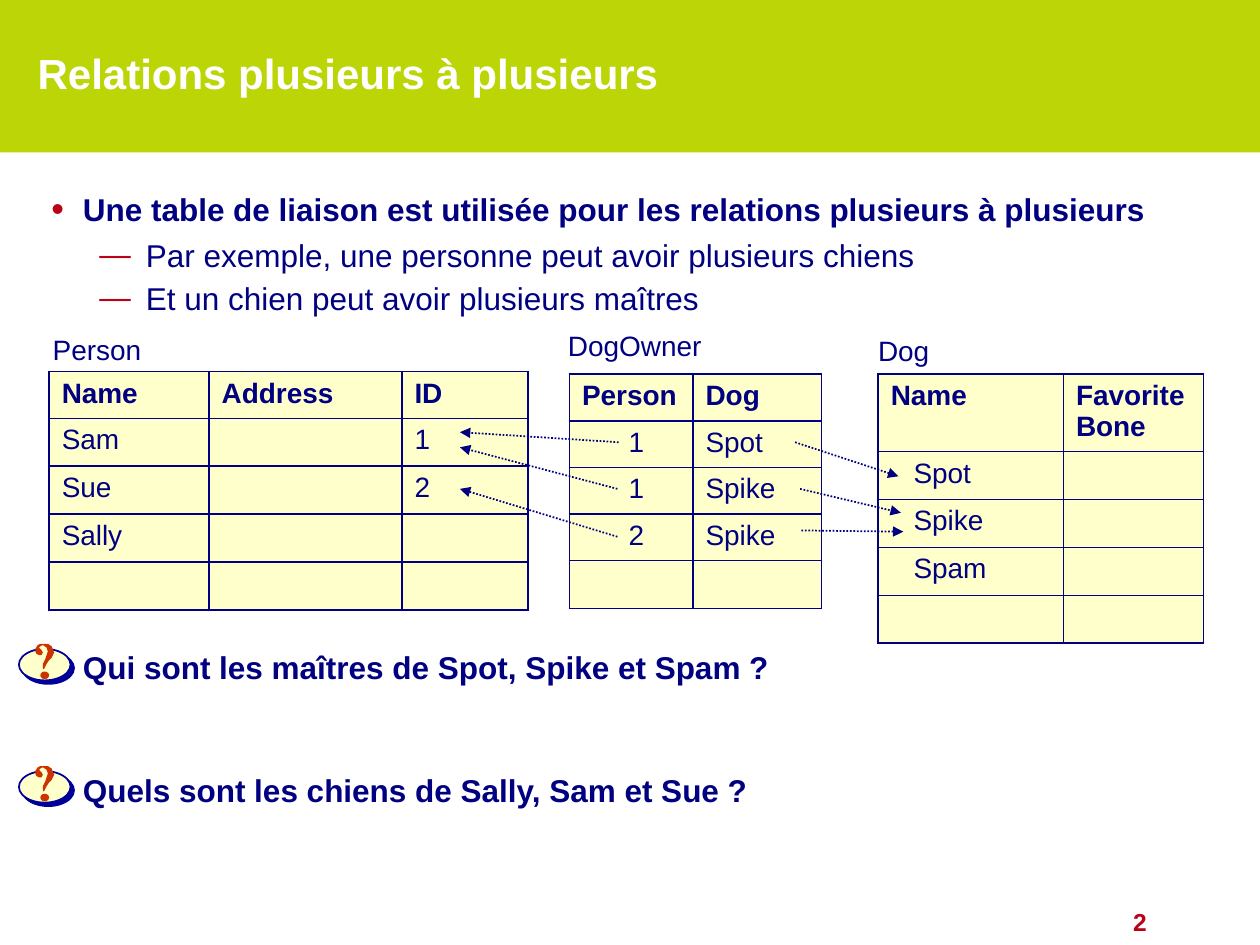
from lxml.etree import SubElement
from pptx import Presentation
from pptx.dml.color import RGBColor
from pptx.enum.dml import MSO_LINE
from pptx.enum.shapes import MSO_CONNECTOR, MSO_SHAPE
from pptx.enum.text import MSO_ANCHOR, PP_ALIGN
from pptx.oxml import parse_xml
from pptx.oxml.ns import nsdecls, qn
from pptx.util import Inches, Pt

COLORS = {"green": "BCD507", "white": "FFFFFF", "navy": "000080", "red": "B90117",
          "cream": "FFFFCC", "blue": "000099", "orange": "CC3300", "black": "000000"}


def write(frame, text, size=16, color="navy", bold=False, align=PP_ALIGN.LEFT,
          bullet=None, bullet_size=100, left=0, hanging=0, after=0, shadow=False):
    """Write one paragraph, reusing the first one while it is empty."""
    paragraph = frame.paragraphs[0] if not frame.text else frame.add_paragraph()
    paragraph.alignment = align
    paragraph.space_after = Pt(after)
    run = paragraph.add_run()
    run.text = text
    run.font.name = "Arial"
    run.font.size = Pt(size)
    run.font.bold = bold
    run.font.color.rgb = RGBColor.from_string(COLORS[color])
    if bullet:
        properties = paragraph._p.get_or_add_pPr()
        properties.set("marL", str(Inches(left)))
        properties.set("indent", str(-Inches(hanging)))
        bullet_color = SubElement(properties, qn("a:buClr"))
        SubElement(bullet_color, qn("a:srgbClr"), val=COLORS["red"])
        SubElement(properties, qn("a:buSzPct"), val=str(bullet_size * 1000))
        SubElement(properties, qn("a:buFont"), typeface="Arial")
        SubElement(properties, qn("a:buChar"), char=bullet)
    if shadow:
        run.font.fill._xPr.find(qn("a:solidFill")).addnext(parse_xml(
            f'<a:effectLst {nsdecls("a")}><a:outerShdw dist="35921" dir="2700000">'
            f'<a:srgbClr val="{COLORS["black"]}"/></a:outerShdw></a:effectLst>'))


def paint(shape, fill, line=None):
    """Give a shape a plain fill and an optional outline."""
    shape.shadow.inherit = False
    shape.fill.solid()
    shape.fill.fore_color.rgb = RGBColor.from_string(COLORS[fill])
    if line:
        shape.line.color.rgb = RGBColor.from_string(COLORS[line])
        shape.line.width = Pt(1)
    else:
        shape.line.fill.background()


presentation = Presentation()
presentation.slide_width = Inches(10)
presentation.slide_height = Inches(7.5)
slide = presentation.slides.add_slide(presentation.slide_layouts[6])
shapes = slide.shapes

# Green band above a white page
slide.background.fill.solid()
slide.background.fill.fore_color.rgb = RGBColor.from_string(COLORS["green"])
page = shapes.add_shape(MSO_SHAPE.RECTANGLE, 0, Inches(1.21), Inches(10), Inches(6.29))
paint(page, "white")

# Text boxes: left, top, width, height, wrap, paragraphs
main = dict(size=18, bold=True)
point = dict(main, bullet="•", bullet_size=115, left=0.25, hanging=0.25, after=4.5)
dash = dict(size=18, bullet="—", left=0.75, hanging=0.37, after=3)
text_boxes = [
    (0.2, 0.18, 8.52, 0.79, True, [
        ("Relations plusieurs à plusieurs",
         dict(size=24, color="white", bold=True, shadow=True))]),
    (0.31, 1.46, 9.47, 1.1, True, [
        ("Une table de liaison est utilisée pour les relations plusieurs à plusieurs", point),
        ("Par exemple, une personne peut avoir plusieurs chiens", dash),
        ("Et un chien peut avoir plusieurs maîtres", dash)]),
    (0.56, 5.09, 9.22, 0.39, True, [
        ("Qui sont les maîtres de Spot, Spike et Spam ?", main)]),
    (0.56, 6.07, 9.22, 0.39, True, [
        ("Quels sont les chiens de Sally, Sam et Sue ?", main)]),
    (0.32, 2.59, 0.9, 0.37, False, [("Person", {})]),
    (4.41, 2.56, 1.26, 0.37, False, [("DogOwner", {})]),
    (6.87, 2.6, 0.61, 0.37, False, [("Dog", {})]),
    (7.62, 7.15, 1.58, 0.33, True, [
        ("2", dict(size=14, color="red", bold=True, align=PP_ALIGN.RIGHT))]),
]
for left, top, width, height, wrap, paragraphs in text_boxes:
    frame = shapes.add_textbox(Inches(left), Inches(top), Inches(width),
                               Inches(height)).text_frame
    frame.word_wrap = wrap
    frame.vertical_anchor = MSO_ANCHOR.MIDDLE if top < 1 else MSO_ANCHOR.TOP
    for text, text_format in paragraphs:
        write(frame, text, **text_format)

# Tables: left, top, column widths, header height, row height, first column indent, rows
tables = [
    (6.97, 2.97, [1.47, 1.11], 0.59, 0.35, 0.18,
     [["Name", "Favorite Bone"], ["Spot", ""], ["Spike", ""], ["Spam", ""], ["", ""]]),
    (0.39, 2.95, [1.27, 1.53, 1], 0.37, 0.37, 0,
     [["Name", "Address", "ID"], ["Sam", "", "1"], ["Sue", "", "2"],
      ["Sally", "", ""], ["", "", ""]]),
    (4.52, 2.97, [0.98, 1.02], 0.37, 0.37, 0.37,
     [["Person", "Dog"], ["1", "Spot"], ["1", "Spike"], ["2", "Spike"], ["", ""]]),
]
for left, top, widths, header_height, row_height, indent, rows in tables:
    heights = [header_height] + [row_height] * (len(rows) - 1)
    table = shapes.add_table(len(rows), len(widths), Inches(left), Inches(top),
                             Inches(sum(widths)), Inches(sum(heights))).table
    for column, width in zip(table.columns, widths):
        column.width = Inches(width)
    for row_index, values in enumerate(rows):
        table.rows[row_index].height = Inches(heights[row_index])
        for column_index, value in enumerate(values):
            cell = table.cell(row_index, column_index)
            is_indented = row_index > 0 and column_index == 0
            cell.margin_left = Inches(0.1 + (indent if is_indented else 0))
            cell.margin_right = Inches(0.05)
            cell.margin_top = Inches(0.05)
            cell.margin_bottom = Inches(0.03)
            cell.fill.solid()
            cell.fill.fore_color.rgb = RGBColor.from_string(COLORS["cream"])
            write(cell.text_frame, value, bold=row_index == 0)
            for position, side in enumerate(["lnL", "lnR", "lnT", "lnB"]):
                cell._tc.get_or_add_tcPr().insert(position, parse_xml(
                    f'<a:{side} {nsdecls("a")} w="12700"><a:solidFill>'
                    f'<a:srgbClr val="{COLORS["navy"]}"/></a:solidFill></a:{side}>'))

# Dotted arrows between keys
arrows = [
    (4.91, 3.51, 3.65, 3.43), (6.31, 3.51, 7.13, 3.78),
    (4.9, 3.88, 3.65, 3.55), (6.35, 3.88, 7.15, 4.07),
    (4.9, 4.26, 3.65, 3.88), (6.36, 4.21, 7.17, 4.22),
]
for ends in arrows:
    arrow = shapes.add_connector(MSO_CONNECTOR.STRAIGHT, *[Inches(end) for end in ends])
    arrow.line.color.rgb = RGBColor.from_string(COLORS["navy"])
    arrow.line.width = Pt(1)
    arrow.line.dash_style = MSO_LINE.ROUND_DOT
    SubElement(arrow.line._get_or_add_ln(), qn("a:tailEnd"), type="triangle")
    SubElement(arrow._element.spPr, qn("a:effectLst"))

# Question mark badges; hook points are hundredths of an inch from the badge top
hook = [(35, 20), (34, 20), (34, 16), (36, 12), (37, 9), (38, 6), (37, 3), (34, 1),
        (32, 2), (31, 3), (32, 4), (33, 5), (34, 7), (33, 9), (31, 9), (29, 8),
        (28, 6), (28, 4), (30, 1), (32, 0), (35, 0), (38, 0), (41, 2), (43, 7),
        (42, 9), (41, 11), (39, 13), (37, 16), (36, 18)]
for top in [5.11, 6.08]:
    badge = shapes.add_group_shape().shapes
    ovals = [(0.15, 0.04, 0.41, 0.25, "cream", "blue"),
             (0.32, 0.22, 0.07, 0.06, "orange", None),
             (0.3, 0.01, 0.1, 0.1, "cream", None)]
    for left, offset, width, height, fill, line in ovals:
        oval = badge.add_shape(MSO_SHAPE.OVAL, Inches(left), Inches(top + offset),
                               Inches(width), Inches(height))
        paint(oval, fill, line)
        if line:
            effects = oval._element.spPr.find(qn("a:effectLst"))
            shade = SubElement(effects, qn("a:outerShdw"), dist="35921", dir="2700000")
            SubElement(shade, qn("a:srgbClr"), val=COLORS["blue"])
    builder = badge.build_freeform(*hook[0], scale=Inches(0.01))
    builder.add_line_segments(hook[1:], close=True)
    mark = builder.convert_to_shape(0, Inches(top))
    paint(mark, "orange")

presentation.save("out.pptx")
